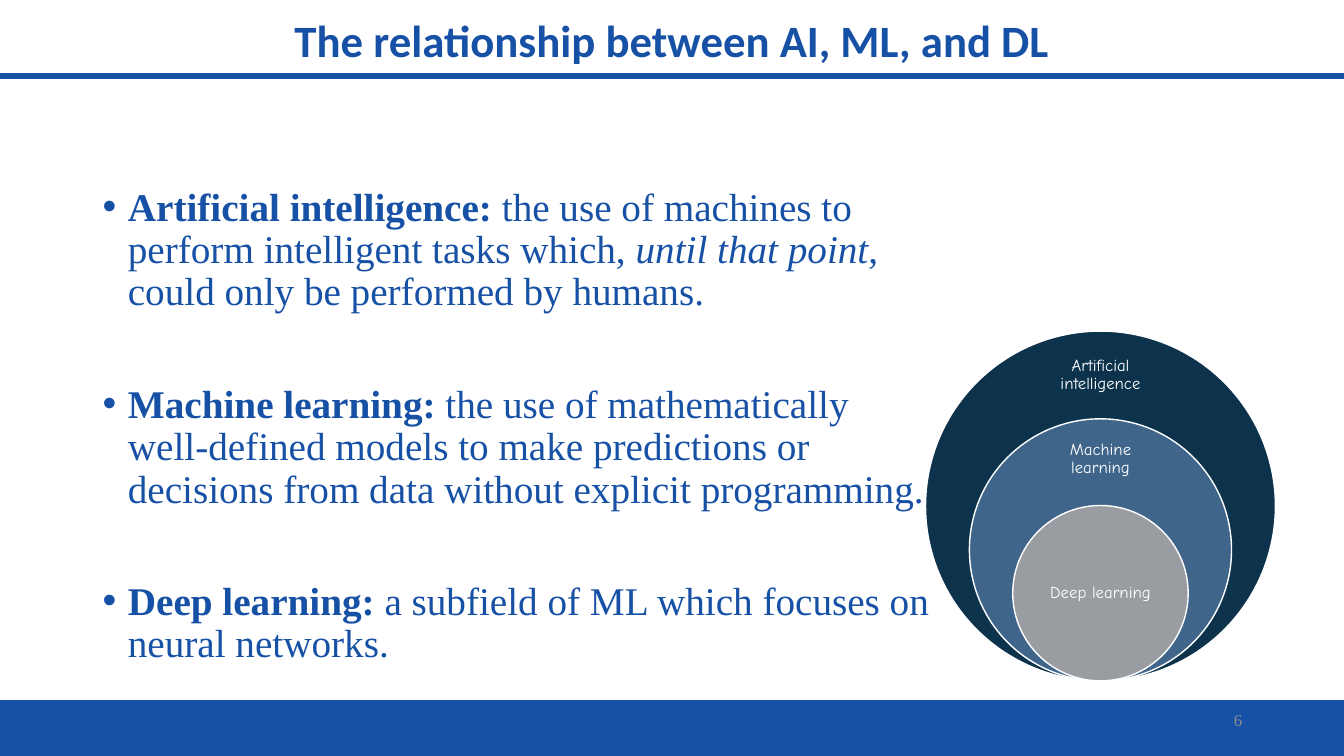
import pptx
import pptx.util
import pptx.dml.color
import pptx.enum.shapes
import pptx.enum.text
import lxml.etree

Inches, Pt = pptx.util.Inches, pptx.util.Pt
ALIGN = pptx.enum.text.PP_ALIGN
SHAPE = pptx.enum.shapes.MSO_SHAPE
BLUE, WHITE, GREY = "1751A6", "FFFFFF", "8C8C8C"
SERIF = "Times New Roman"
WIDE, HIGH = 13.33, 7.5

TITLE = "The relationship between AI, ML, and DL"
NUMBER = "6"
# Each point is a list of (text, style) runs.
POINTS = [
    [("Artificial intelligence: ", "bold"),
     ("the use of machines to perform intelligent tasks which, ", ""),
     ("until that point", "italic"),
     (", could only be performed by humans.", "")],
    [("Machine learning: ", "bold"),
     ("the use of mathematically well-defined models to make predictions "
      "or decisions from data without explicit programming.", "")],
    [("Deep learning: ", "bold"),
     ("a subfield of ML which focuses on neural networks.", "")],
]
BARS = [(6.95, 0.55), (0.73, 0.05)]  # top, height
# Label, fill, diameter, label top, label height
RINGS = [
    ("Artificial intelligence", "0D324C", 3.47, 3.46, 0.52),
    ("Machine learning", "3F658B", 2.6, 4.31, 0.49),
    ("Deep learning", "999CA1", 1.74, 5.45, 0.87),
]
RING_MID, RING_BASE, LABEL_WIDE = 10.915, 6.755, 1.22


def color(code):
    return pptx.dml.color.RGBColor.from_string(code)


def add_solid(kind, box, fill, line):
    shape = slide.shapes.add_shape(kind, *map(Inches, box))
    shape.shadow.inherit = False
    shape.fill.solid()
    shape.fill.fore_color.rgb = color(fill)
    shape.line.color.rgb = color(line)
    shape.line.width = Pt(1)


def add_frame(box, middle=True):
    frame = slide.shapes.add_textbox(*map(Inches, box)).text_frame
    frame.word_wrap = True
    if middle:
        frame.vertical_anchor = pptx.enum.text.MSO_ANCHOR.MIDDLE
    return frame


def set_font(para, name, size, code, bold=None):
    font = para.font
    font.name, font.size, font.bold = name, Pt(size), bold
    font.color.rgb = color(code)


def add_label(box, text, align, name, size, code, bold=None):
    frame = add_frame(box)
    para = frame.paragraphs[0]
    para.text, para.alignment, para.line_spacing = text, align, 0.9
    set_font(para, name, size, code, bold)
    return frame


def add_bullet(para):
    props = para._p.get_or_add_pPr()
    props.set("marL", str(Inches(0.25)))
    props.set("indent", str(-Inches(0.25)))
    space = "http://schemas.openxmlformats.org/drawingml/2006/main"
    font = lxml.etree.Element("{%s}buFont" % space, typeface="Arial")
    mark = lxml.etree.Element("{%s}buChar" % space, char="•")
    # Bullet tags come before the default run properties.
    place = list(props).index(props.find("{%s}defRPr" % space))
    props.insert(place, font)
    props.insert(place + 1, mark)


deck = pptx.Presentation()
deck.slide_width, deck.slide_height = Inches(WIDE), Inches(HIGH)
slide = deck.slides.add_slide(deck.slide_layouts[6])

for top, high in BARS:
    add_solid(SHAPE.RECTANGLE, (0, top, WIDE, high), BLUE, BLUE)
add_label((0, -0.3, WIDE, 1.45), TITLE, ALIGN.CENTER, "Calibri", 32, BLUE, True)
add_label((9.42, 6.95, 3, 0.4), NUMBER, ALIGN.RIGHT, SERIF, 12, GREY)

body = add_frame((0.92, 1.81, 8.42, 4.95), middle=False)
for i, runs in enumerate(POINTS):
    para = body.add_paragraph() if i else body.paragraphs[0]
    para.line_spacing = 0.9
    para.space_before = Pt(50 if i else 0)
    set_font(para, SERIF, 28, BLUE)
    add_bullet(para)
    for text, style in runs:
        run = para.add_run()
        run.text = text
        if style == "bold":
            run.font.bold = True
        elif style == "italic":
            run.font.italic = True

for text, fill, size, top, high in RINGS:
    add_solid(SHAPE.OVAL, (RING_MID - size / 2, RING_BASE - size, size, size),
              fill, WHITE)
    frame = add_label((RING_MID - LABEL_WIDE / 2, top, LABEL_WIDE, high), text,
                      ALIGN.CENTER, "Comic Neue", 12, WHITE)
    frame.margin_left = frame.margin_right = Inches(0.09)
    frame.margin_top = frame.margin_bottom = Inches(0.09)

deck.save("out.pptx")
